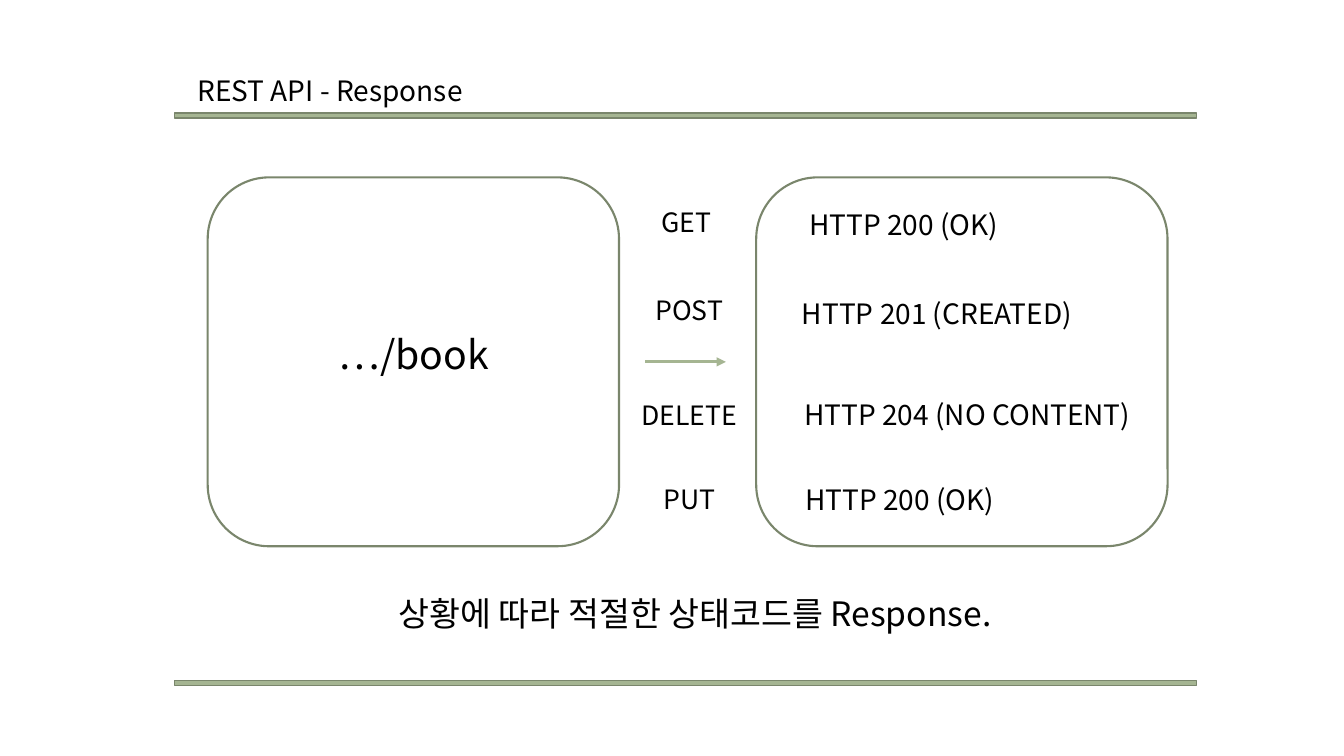
from lxml import etree
from pptx import Presentation
from pptx.dml.color import RGBColor
from pptx.enum import shapes, text
from pptx.oxml import ns
from pptx.util import Inches, Pt

SAGE = RGBColor(0xA5, 0xB5, 0x92)
OLIVE = RGBColor(0x7A, 0x86, 0x6C)
BLACK = RGBColor(0, 0, 0)
FONT = "Noto Sans CJK KR"

deck = Presentation()
deck.slide_width, deck.slide_height = Inches(13.33), Inches(7.5)
page = deck.slides.add_slide(deck.slide_layouts[6])


def add_outlined(kind, left, top, width, height, line_width):
    shape = page.shapes.add_shape(
        kind, Inches(left), Inches(top), Inches(width), Inches(height))
    shape.shadow.inherit = False
    shape.fill.background()
    shape.line.color.rgb = OLIVE
    shape.line.width = Pt(line_width)
    return shape


def add_label(words, left, top, width, height, size, centred=True):
    box = page.shapes.add_textbox(
        Inches(left), Inches(top), Inches(width), Inches(height))
    frame = box.text_frame
    frame.word_wrap = centred
    frame.auto_size = text.MSO_AUTO_SIZE.SHAPE_TO_FIT_TEXT
    para = frame.paragraphs[0]
    para.alignment = text.PP_ALIGN.CENTER if centred else text.PP_ALIGN.LEFT
    span = para.add_run()
    span.text = words
    for name, value in {"name": FONT, "size": Pt(size)}.items():
        setattr(span.font, name, value)
    span.font.color.rgb = BLACK
    # Korean letters take their typeface from a:ea
    etree.SubElement(span.font._element, ns.qn("a:ea"), typeface=FONT)


# Rules above and below the content
for rule_top in (1.12, 6.75):
    rule = add_outlined(shapes.MSO_SHAPE.RECTANGLE, 1.73, rule_top, 10.14, 0.05, 1)
    rule.fill.solid()
    rule.fill.fore_color.rgb = SAGE

add_label("REST API - Response", 1.86, 0.68, 2.86, 0.44, 20, centred=False)

# Resource panel and response panel, joined by an arrow
for panel_left in (2.06, 7.5):
    add_outlined(shapes.MSO_SHAPE.ROUNDED_RECTANGLE, panel_left, 1.76, 4.08, 3.66, 1.5)

arrow = page.shapes.add_connector(
    shapes.MSO_CONNECTOR.STRAIGHT,
    Inches(6.4), Inches(3.59), Inches(7.2), Inches(3.59))
arrow.line.color.rgb = SAGE
arrow.line.width = Pt(2.25)
etree.SubElement(arrow.line._get_or_add_ln(), ns.qn("a:tailEnd"), type="triangle")
etree.SubElement(arrow._element.spPr, ns.qn("a:effectLst"))

add_label("…/book", 2.98, 3.23, 2.25, 0.57, 28)

# Method, its left and top; status, its left, top and width
exchanges = [
    ("GET", 5.68, 1.99, "HTTP 200 (OK)", 7.5, 2.01, 2.93),
    ("POST", 5.71, 2.87, "HTTP 201 (CREATED)", 7.83, 2.89, 2.93),
    ("DELETE", 5.71, 3.91, "HTTP 204 (NO CONTENT)", 7.83, 3.89, 3.53),
    ("PUT", 5.71, 4.74, "HTTP 200 (OK)", 7.46, 4.74, 2.93),
]
for method, method_left, method_top, status, status_left, status_top, width in exchanges:
    add_label(method, method_left, method_top, 2.25, 0.42, 19)
    add_label(status, status_left, status_top, width, 0.44, 20)

add_label("상황에 따라 적절한 상태코드를 Response. ", 1.86, 5.83, 10.14, 0.5, 24)

deck.save("out.pptx")
